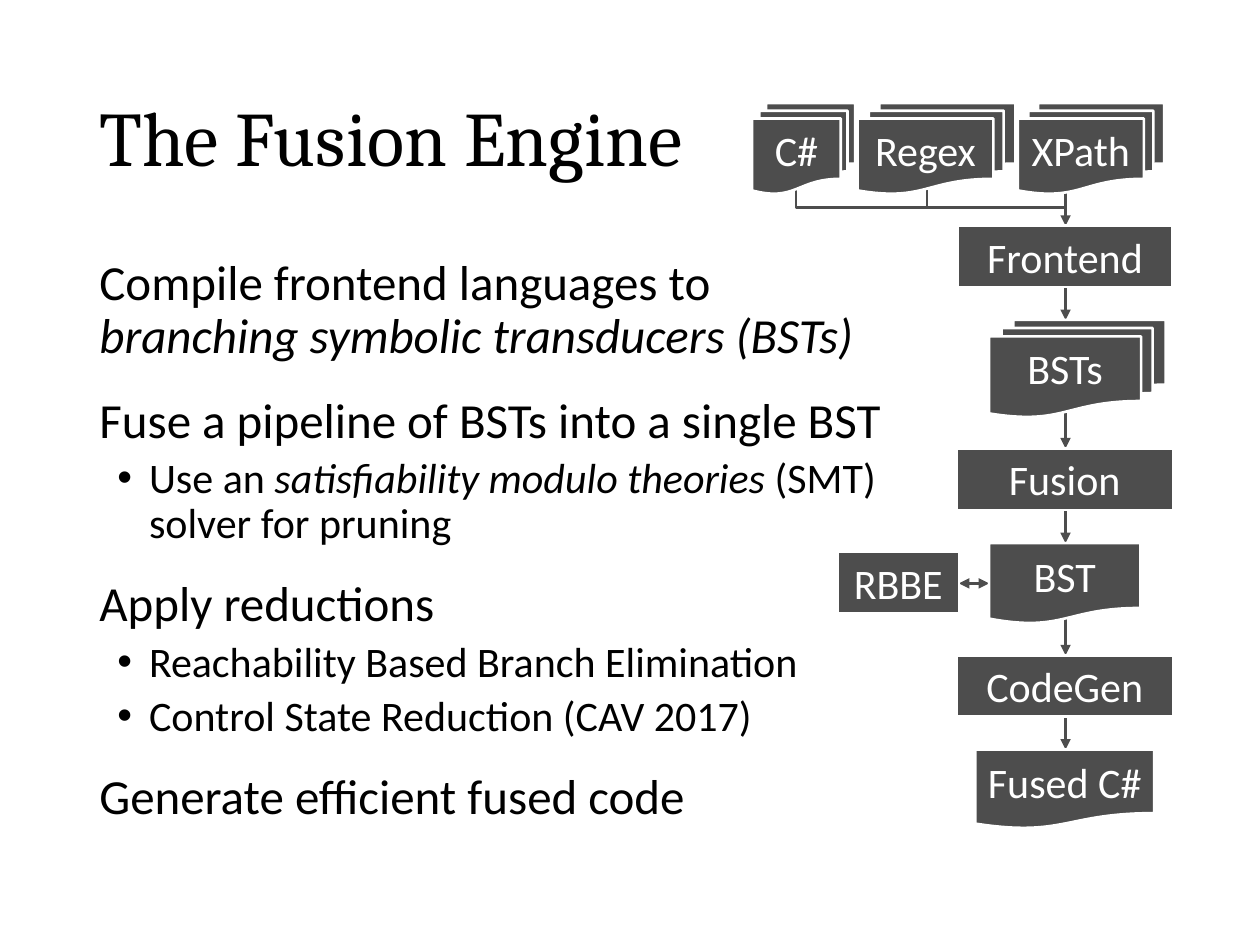
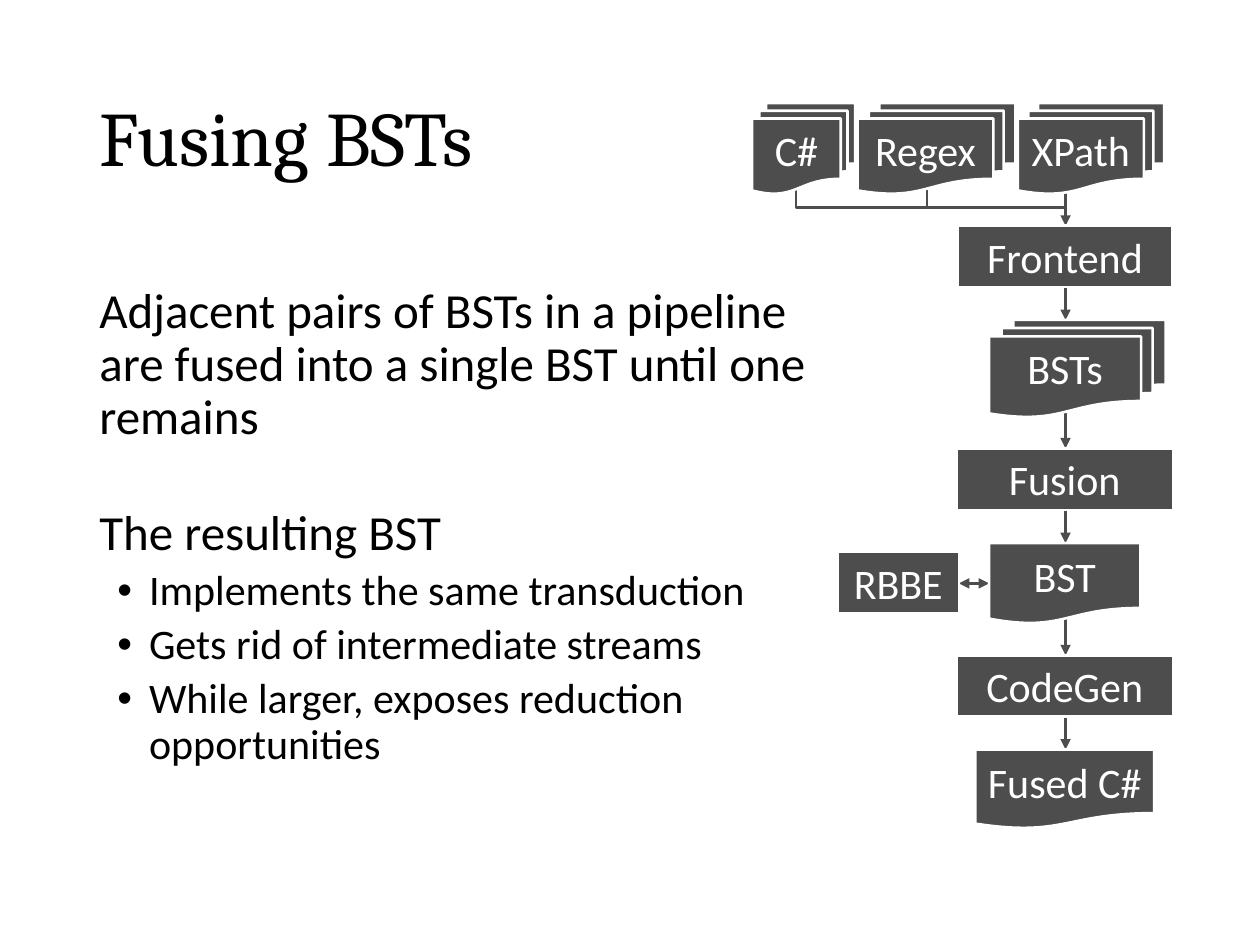
from dataclasses import dataclass

from lxml import etree
from pptx import Presentation
from pptx.dml.color import RGBColor
from pptx.enum import shapes, text
from pptx.oxml import ns
from pptx.util import Cm, Pt

INK, PAPER, NODE = "000000", "FFFFFF", "4D4D4D"
TITLE_FONT, BODY_FONT = "Cambria", "Calibri"
SPINE_X = 21.48  # centre line of the vertical pipeline
SHAPE = shapes.MSO_SHAPE


@dataclass(frozen=True)
class Line:
    """One body paragraph; parts between asterisks are italic."""
    words: str
    before: float = 5
    bullet: bool = False


@dataclass(frozen=True)
class Node:
    label: str
    left: float
    top: float
    width: float
    height: float
    kind: SHAPE

    @property
    def exit_y(self) -> float:
        """Where an arrow leaves; documents cover its start with their wave."""
        wave = 0 if self.kind == SHAPE.FLOWCHART_PROCESS else 0.4
        return self.top + self.height - wave


@dataclass(frozen=True)
class Page:
    title: str
    body_top: float
    body_width: float
    body_height: float
    lines: tuple[Line, ...]


def process(label: str, left: float, top: float, width: float = 4.37) -> Node:
    return Node(label, left, top, width, 1.24, SHAPE.FLOWCHART_PROCESS)


def input_row() -> list[Node]:
    """Source languages side by side with equal gaps."""
    row, left = [], 15.16
    for label, width in (("C#", 2.08), ("Regex", 3.18), ("XPath", 2.95)):
        row.append(Node(label, left, 2.08, width, 1.83, SHAPE.FLOWCHART_MULTIDOCUMENT))
        left += width + 0.05
    return row


INPUTS = input_row()
STAGES = [
    process("Frontend", 19.3, 4.55, 4.34),
    Node("BSTs", 19.94, 6.45, 3.56, 1.96, SHAPE.FLOWCHART_MULTIDOCUMENT),
    process("Fusion", 19.28, 9.04),
    Node("BST", 19.94, 10.95, 3.05, 1.63, SHAPE.FLOWCHART_DOCUMENT),
    process("CodeGen", 19.28, 13.21),
    Node("Fused C#", 19.66, 15.11, 3.61, 1.6, SHAPE.FLOWCHART_DOCUMENT),
]
RBBE = process("RBBE", 16.89, 11.13, 2.44)

PAGES = [
    Page("The Fusion Engine", 5.08, 16.38, 12.09, (
        Line("Compile frontend languages to"),
        Line("*branching symbolic transducers (BSTs)*", before=0),
        Line("Fuse a pipeline of BSTs into a single BST", before=18),
        Line("Use an *satisfiability modulo theories* (SMT) solver for pruning", bullet=True),
        Line("Apply reductions", before=18),
        Line("Reachability Based Branch Elimination", bullet=True),
        Line("Control State Reduction (CAV 2017)", bullet=True),
        Line("Generate efficient fused code", before=18),
    )),
    Page("Fusing BSTs", 5.64, 15.14, 11.51, (
        Line("Adjacent pairs of BSTs in a pipeline are fused into a single BST until one remains"),
        Line("The resulting BST", before=36),
        Line("Implements the same transduction", bullet=True),
        Line("Gets rid of intermediate streams", bullet=True),
        Line("While larger, exposes reduction opportunities", bullet=True),
    )),
]


def rgb(value: str) -> RGBColor:
    return RGBColor.from_string(value)


def write(paragraph, words: str, *, size: float, font: str = BODY_FONT, color: str = INK,
          align=text.PP_ALIGN.LEFT, before: float = 0, spacing: float = 1.0) -> None:
    paragraph.alignment = align
    paragraph.space_before = Pt(before)
    paragraph.line_spacing = spacing
    for index, part in enumerate(words.split("*")):
        if part:
            run = paragraph.add_run()
            run.text = part
            run.font.size, run.font.name = Pt(size), font
            run.font.italic = index % 2 == 1
            run.font.color.rgb = rgb(color)


def place(shape, left: float, top: float, width: float, height: float) -> None:
    shape.left, shape.top, shape.width, shape.height = map(Cm, (left, top, width, height))


# Title and body text
def fill_text(slide, page: Page) -> None:
    title, body = slide.shapes.title, slide.placeholders[1]
    place(title, 1.75, 1.02, 21.89, 3.68)
    place(body, 1.75, page.body_top, page.body_width, page.body_height)
    for holder in (title, body):
        holder.text_frame.auto_size = text.MSO_AUTO_SIZE.NONE
    write(title.text_frame.paragraphs[0], page.title, size=44, font=TITLE_FONT, spacing=0.9)

    frame = body.text_frame
    for index, line in enumerate(page.lines):
        paragraph = frame.add_paragraph() if index else frame.paragraphs[0]
        write(paragraph, line.words, size=24 if line.bullet else 28,
              before=line.before, spacing=0.9)
        props = paragraph._p.get_or_add_pPr()
        props.set("marL", str(Cm(1) if line.bullet else 0))
        props.set("indent", str(Cm(-0.64) if line.bullet else 0))
        if not line.bullet:
            etree.SubElement(props, ns.qn("a:buNone"))


# Pipeline diagram
def connect(slide, x1: float, y1: float, x2: float, y2: float, *,
            elbow: bool = False, head: bool = False, tail: bool = False) -> None:
    kind = shapes.MSO_CONNECTOR.ELBOW if elbow else shapes.MSO_CONNECTOR.STRAIGHT
    link = slide.shapes.add_connector(kind, *map(Cm, (x1, y1, x2, y2)))
    link.line.color.rgb = rgb(NODE)
    link.line.width = Pt(1.5)
    props = link._element.spPr
    outline = link.line._get_or_add_ln()
    for end, wanted in (("a:headEnd", head), ("a:tailEnd", tail)):
        if wanted:
            etree.SubElement(outline, ns.qn(end), type="triangle")
    etree.SubElement(props, ns.qn("a:effectLst"))
    if elbow:  # turn at once: first down, then across
        guides = props.find(ns.qn("a:prstGeom")).get_or_add_avLst()
        etree.SubElement(guides, ns.qn("a:gd"), name="adj1", fmla="val 0")


def draw_node(slide, node: Node) -> None:
    box = slide.shapes.add_shape(
        node.kind, *map(Cm, (node.left, node.top, node.width, node.height)))
    box.shadow.inherit = False
    box.fill.solid()
    box.fill.fore_color.rgb = rgb(NODE)
    box.line.color.rgb = rgb(PAPER)
    box.line.width = Pt(1.5)
    frame = box.text_frame
    frame.word_wrap = True
    frame.margin_left = frame.margin_right = 0
    stacked = node.kind == SHAPE.FLOWCHART_MULTIDOCUMENT
    frame.vertical_anchor = text.MSO_ANCHOR.TOP if stacked else text.MSO_ANCHOR.MIDDLE
    if node.kind == SHAPE.FLOWCHART_PROCESS:
        frame.auto_size = text.MSO_AUTO_SIZE.SHAPE_TO_FIT_TEXT
    write(frame.paragraphs[0], node.label, size=24, color=PAPER, align=text.PP_ALIGN.CENTER)


def draw_pipeline(slide) -> None:
    # Connectors lie behind the nodes
    for x in (16.05, 18.69):
        connect(slide, x, 3.3, SPINE_X, 4.19, elbow=True)
    chain = [INPUTS[-1], *STAGES]
    for source, target in zip(chain, chain[1:]):
        connect(slide, SPINE_X, source.exit_y, SPINE_X, target.top, tail=True)
    reduced = STAGES[3]
    connect(slide, reduced.left, 11.76, RBBE.left + RBBE.width, 11.76, head=True, tail=True)
    for node in (*INPUTS, *STAGES, RBBE):
        draw_node(slide, node)


def main() -> None:
    deck = Presentation()
    deck.slide_width, deck.slide_height = Cm(25.4), Cm(19.05)
    for page in PAGES:
        slide = deck.slides.add_slide(deck.slide_layouts[1])
        fill_text(slide, page)
        draw_pipeline(slide)
    deck.save("out.pptx")


if __name__ == "__main__":
    main()
